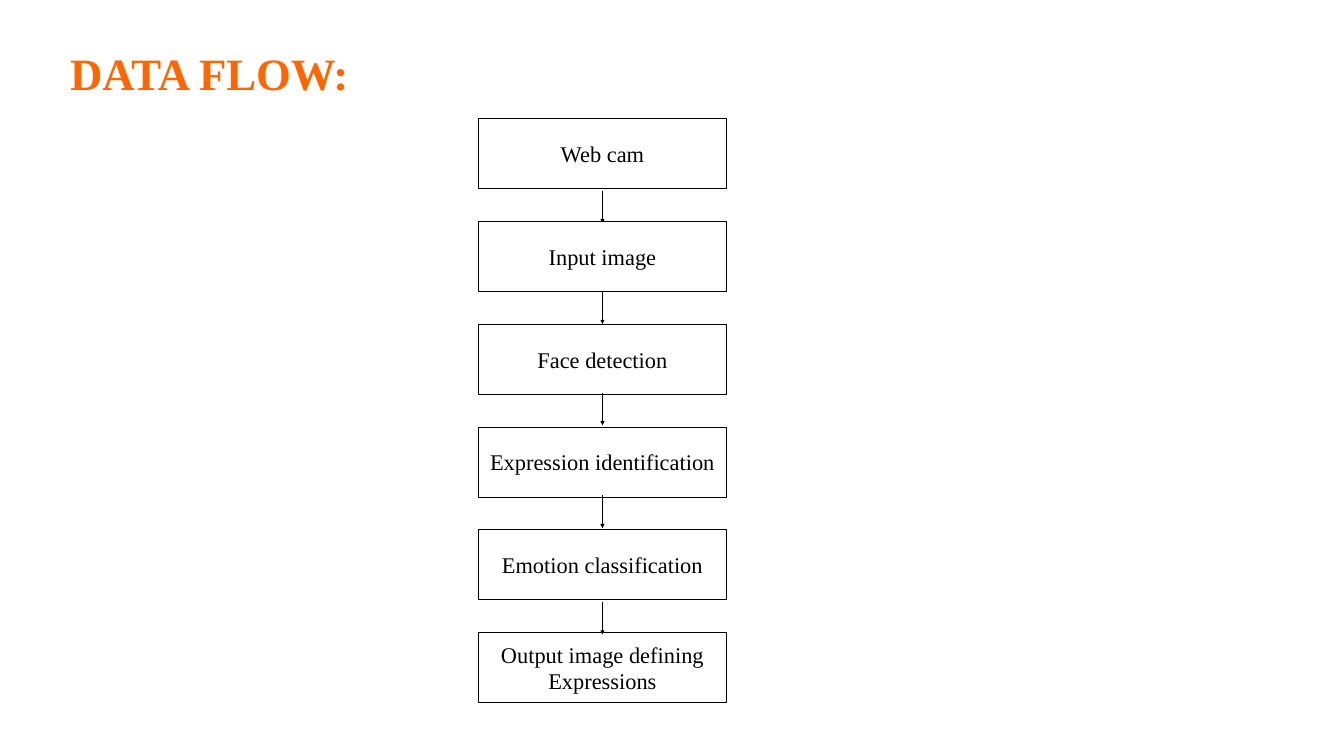
"""Build a data flow slide: a column of steps joined by arrows."""
from lxml.etree import SubElement
from pptx import Presentation
from pptx.dml.color import RGBColor
from pptx.enum.shapes import MSO_CONNECTOR, MSO_SHAPE
from pptx.enum.text import MSO_ANCHOR, PP_ALIGN
from pptx.oxml.ns import qn
from pptx.util import Inches, Pt

TITLE = "DATA FLOW:"
STEPS = [
    "Web cam",
    "Input image",
    "Face detection",
    "Expression identification",
    "Emotion classification",
    "Output image defining Expressions",
]
ARROW_TOPS = [3.78, 5.78, 7.79, 9.83, 11.94]
FRONT_STEP = "Input image"

FONT = "Times New Roman"
ORANGE = RGBColor(0xFF, 0x66, 0x00)
BLACK = RGBColor(0, 0, 0)
WHITE = RGBColor(0xFF, 0xFF, 0xFF)

BOX_LEFT, BOX_TOP, BOX_WIDTH, BOX_HEIGHT = 9.5, 2.35, 4.91, 1.39
STEP_PITCH = 2.04
ARROW_LENGTH = 0.65
INSET = 0.06


def write_text(shape, text, size, color, alignment, anchor, bold=False):
    frame = shape.text_frame
    frame.word_wrap = True
    frame.vertical_anchor = anchor
    frame.margin_left = frame.margin_right = Inches(INSET)
    frame.margin_top = frame.margin_bottom = Inches(INSET)
    paragraph = frame.paragraphs[0]
    paragraph.alignment = alignment
    run = paragraph.add_run()
    run.text = text
    run.font.name = FONT
    run.font.size = Pt(size)
    run.font.bold = bold
    run.font.color.rgb = color


def add_step(slide, text):
    top = BOX_TOP + STEPS.index(text) * STEP_PITCH
    box = slide.shapes.add_shape(
        MSO_SHAPE.RECTANGLE,
        Inches(BOX_LEFT), Inches(top), Inches(BOX_WIDTH), Inches(BOX_HEIGHT),
    )
    box.shadow.inherit = False
    box.fill.solid()
    box.fill.fore_color.rgb = WHITE
    box.line.color.rgb = BLACK
    box.line.width = Pt(1)
    write_text(box, text, 32, BLACK, PP_ALIGN.CENTER, MSO_ANCHOR.MIDDLE)


def add_arrow(slide, top):
    center = Inches(BOX_LEFT + BOX_WIDTH / 2)
    arrow = slide.shapes.add_connector(
        MSO_CONNECTOR.STRAIGHT,
        center, Inches(top), center, Inches(top + ARROW_LENGTH),
    )
    arrow.line.color.rgb = BLACK
    arrow.line.width = Pt(2)
    SubElement(arrow.line._get_or_add_ln(), qn("a:tailEnd"), type="triangle")
    SubElement(arrow._element.spPr, qn("a:effectLst"))


def main():
    presentation = Presentation()
    presentation.slide_width = Inches(26.67)
    presentation.slide_height = Inches(15)
    slide = presentation.slides.add_slide(presentation.slide_layouts[5])
    slide.background.fill.solid()
    slide.background.fill.fore_color.rgb = WHITE

    title = slide.shapes.title
    title.left, title.top = Inches(1.33), Inches(0.85)
    title.width, title.height = Inches(24), Inches(1.89)
    write_text(title, TITLE, 64, ORANGE, PP_ALIGN.LEFT, MSO_ANCHOR.TOP, bold=True)

    for step in STEPS:
        if step != FRONT_STEP:
            add_step(slide, step)
    for top in ARROW_TOPS:
        add_arrow(slide, top)
    add_step(slide, FRONT_STEP)

    presentation.save("out.pptx")


if __name__ == "__main__":
    main()
